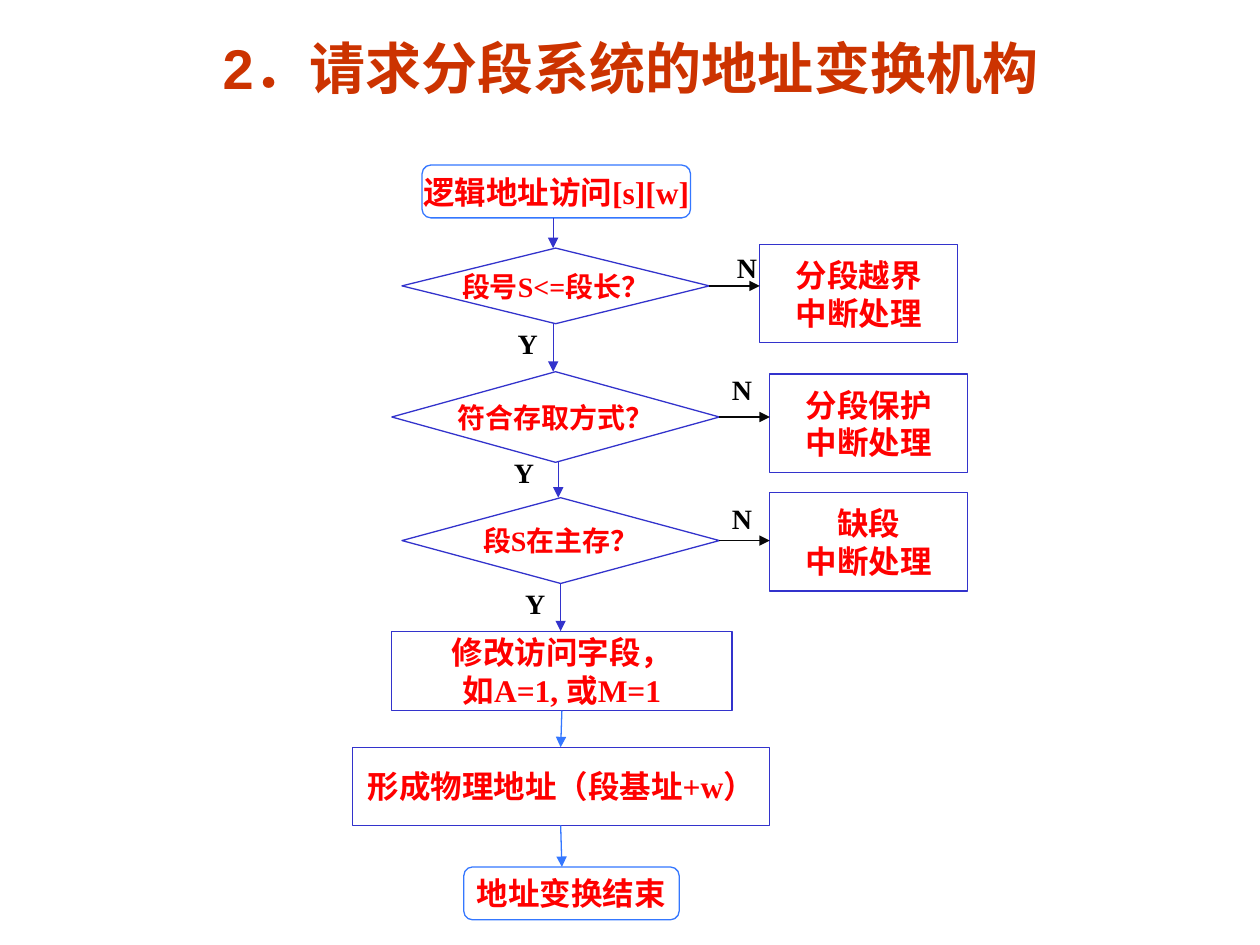
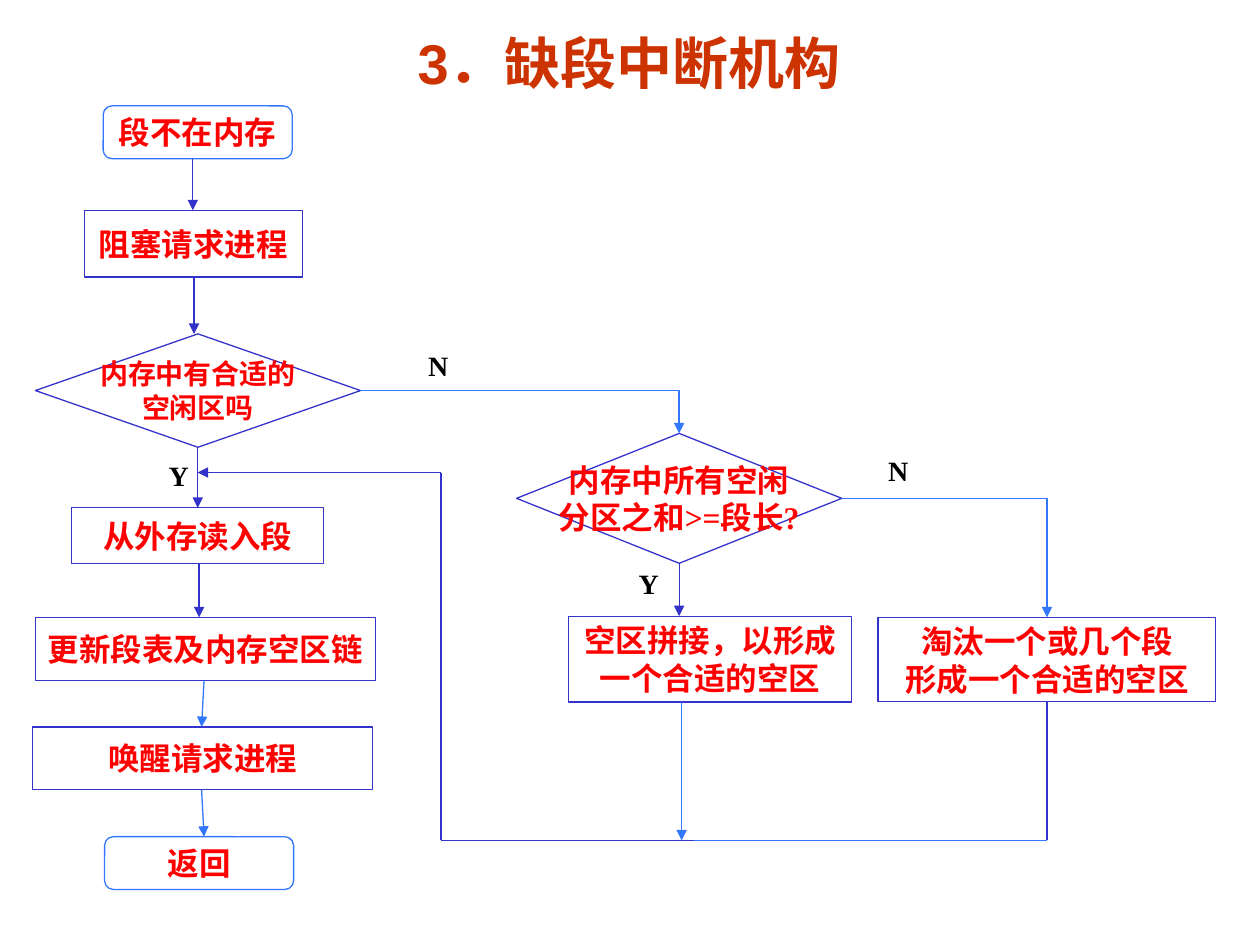
from lxml import etree
from pptx import Presentation
from pptx.dml.color import RGBColor
from pptx.enum.shapes import MSO_CONNECTOR, MSO_SHAPE
from pptx.enum.text import MSO_ANCHOR, PP_ALIGN
from pptx.oxml.ns import qn
from pptx.util import Emu, Pt

RECTANGLE = MSO_SHAPE.RECTANGLE
DIAMOND = MSO_SHAPE.DIAMOND
ROUNDED = MSO_SHAPE.ROUNDED_RECTANGLE
STRAIGHT = MSO_CONNECTOR.STRAIGHT
ELBOW = MSO_CONNECTOR.ELBOW
CENTER = PP_ALIGN.CENTER
LEFT = PP_ALIGN.LEFT
MIDDLE = MSO_ANCHOR.MIDDLE
TOP = MSO_ANCHOR.TOP

TITLE_RED = RGBColor(0xCC, 0x33, 0x00)
TEXT_RED = RGBColor(0xFF, 0x00, 0x00)
BLACK = RGBColor(0x00, 0x00, 0x00)
NEAR_BLACK = RGBColor(0x08, 0x08, 0x08)
INDIGO = RGBColor(0x33, 0x33, 0xCC)
BLUE = RGBColor(0x34, 0x77, 0xFF)

TITLE_FONT = "Arial"
BODY_FONT = "Times New Roman"
LINE_WIDTH = Pt(0.75)
TOP_SITE, RIGHT_SITE = 0, 3


# Text
def set_text(shape, text, size, color, font=BODY_FONT, align=CENTER,
             anchor=MIDDLE, wrap=False):
    frame = shape.text_frame
    frame.text = text
    frame.word_wrap = wrap
    frame.vertical_anchor = anchor
    for paragraph in frame.paragraphs:
        paragraph.alignment = align
        for run in paragraph.runs:
            run.font.name = font
            run.font.size = Pt(size)
            run.font.bold = True
            run.font.color.rgb = color


def add_title(slide, text, left, top, width, height):
    box = slide.shapes.add_textbox(Pt(left), Pt(top), Pt(width), Pt(height))
    set_text(box, text, 32, TITLE_RED, TITLE_FONT, wrap=True)


def add_label(slide, text, left, top, width=26):
    box = slide.shapes.add_textbox(Pt(left), Pt(top), Pt(width), Pt(26.6))
    set_text(box, text, 16, BLACK, align=LEFT, anchor=TOP)


# Flowchart nodes
def add_node(slide, kind, text, left, top, width, height, size=18):
    shape = slide.shapes.add_shape(kind, Pt(left), Pt(top), Pt(width), Pt(height))
    shape.shadow.inherit = False
    shape.fill.background()
    shape.line.color.rgb = BLUE if kind == ROUNDED else INDIGO
    shape.line.width = LINE_WIDTH
    set_text(shape, text, size, TEXT_RED)
    return shape


def bottom(shape):
    return Emu(shape.top + shape.height).pt


def right(shape):
    return Emu(shape.left + shape.width).pt


def middle(shape):
    return Emu(shape.top + shape.height // 2).pt


# Lines and arrows
def style_connector(connector, color, arrow):
    connector.line.color.rgb = color
    connector.line.width = LINE_WIDTH
    properties = connector._element.spPr
    if arrow:
        etree.SubElement(properties.find(qn("a:ln")), qn("a:tailEnd"), type="triangle")
    etree.SubElement(properties, qn("a:effectLst"))


def add_line(slide, start, end, color=INDIGO, arrow=True):
    points = [Pt(value) for value in (*start, *end)]
    connector = slide.shapes.add_connector(STRAIGHT, *points)
    style_connector(connector, color, arrow)


def add_down_arrow(slide, upper, lower, x, end_x=None, color=INDIGO):
    end = (x if end_x is None else end_x, lower.top.pt)
    add_line(slide, (x, bottom(upper)), end, color)


def add_elbow_arrow(slide, source, target):
    """Leave the source to the right and enter the target from above."""
    connector = slide.shapes.add_connector(ELBOW, 0, 0, 0, 0)
    connector.begin_connect(source, RIGHT_SITE)
    connector.end_connect(target, TOP_SITE)
    connector._element.spPr.find(qn("a:prstGeom")).set("prst", "bentConnector2")
    style_connector(connector, BLUE, True)


# Slide 1: address translation
def build_address_translation(slide):
    add_title(slide, "2．请求分段系统的地址变换机构", 42.5, 13.7, 635.8, 49.7)
    previous = add_node(slide, ROUNDED, "逻辑地址访问[s][w]", 241.2, 94.3, 153.4, 30.2)

    # Question, its frame, x of the incoming arrow, interrupt, its top, N and Y places
    checks = [
        ("段号S<=段长？", (229.7, 141.8, 175.7, 43.2), 316.1,
         "分段越界\n中断处理", 139.7, (414, 139.7), (288.7, 182.9)),
        ("符合存取方式？", (223.9, 212.4, 187.2, 51.8), 316.1,
         "分段保护\n中断处理", 213.8, (411.1, 209.5), (286.6, 257)),
        ("段S在主存？", (229.7, 284.4, 181.4, 49), 319,
         "缺段\n中断处理", 281.5, (411.1, 283), (293, 331.9)),
    ]
    for question, frame, arrow_x, interrupt, interrupt_top, no_at, yes_at in checks:
        check = add_node(slide, DIAMOND, question, *frame, size=16)
        add_down_arrow(slide, previous, check, arrow_x)
        interrupt_left = right(check) + 28.8
        add_node(slide, RECTANGLE, interrupt, interrupt_left, interrupt_top, 113, 56.2)
        add_line(slide, (right(check), middle(check)),
                 (interrupt_left, middle(check)), NEAR_BLACK)
        add_label(slide, "N", *no_at, width=23)
        add_label(slide, "Y", *yes_at)
        previous = check

    update = add_node(slide, RECTANGLE, "修改访问字段，\n如A=1, 或M=1",
                      223.9, 360.7, 194.4, 45.4)
    address = add_node(slide, RECTANGLE, "形成物理地址（段基址+w）",
                       201.6, 427, 238.3, 44.6)
    finish = add_node(slide, ROUNDED, "地址变换结束", 265, 495.4, 123.1, 30.2)
    add_down_arrow(slide, previous, update, 320.4)
    add_down_arrow(slide, update, address, 321.1, 320.4, BLUE)
    add_down_arrow(slide, address, finish, 320.4, 321.1, BLUE)


# Slide 2: missing-segment interrupt
def build_missing_segment(slide):
    add_title(slide, "3．缺段中断机构", 41.8, 5.8, 635.8, 59)

    # Main column
    start = add_node(slide, ROUNDED, "段不在内存", 59, 60.5, 108, 30.2)
    block = add_node(slide, RECTANGLE, "阻塞请求进程", 48.2, 120.2, 124.6, 38.2)
    has_space = add_node(slide, DIAMOND, "内存中有合适的\n空闲区吗",
                         20.2, 190.8, 185.8, 64.8, size=16)
    read = add_node(slide, RECTANGLE, "从外存读入段", 41, 290.2, 144, 31.7)
    update = add_node(slide, RECTANGLE, "更新段表及内存空区链", 20.2, 352.8, 194.4, 36)
    wake = add_node(slide, RECTANGLE, "唤醒请求进程", 18.7, 415.4, 194.4, 36)
    finish = add_node(slide, ROUNDED, "返回", 59.8, 478.1, 108, 30.2)
    add_down_arrow(slide, start, block, 110.2)
    add_down_arrow(slide, block, has_space, 110.9)
    add_down_arrow(slide, has_space, read, 113)
    add_down_arrow(slide, read, update, 113.8)
    add_down_arrow(slide, update, wake, 116.6, 115.2, BLUE)
    add_down_arrow(slide, wake, finish, 115.2, 116.6, BLUE)

    # Branches without a suitable free area
    enough_total = add_node(slide, DIAMOND, "内存中所有空闲\n分区之和>=段长?",
                            295.2, 247.7, 185.8, 74.2)
    merge = add_node(slide, RECTANGLE, "空区拼接，以形成\n一个合适的空区",
                     324.7, 352.1, 162, 49)
    evict = add_node(slide, RECTANGLE, "淘汰一个或几个段\n形成一个合适的空区",
                     501.8, 352.8, 193, 48.2)
    add_elbow_arrow(slide, has_space, enough_total)
    add_elbow_arrow(slide, enough_total, evict)
    add_down_arrow(slide, enough_total, merge, 388.1)

    # Return path to reading the segment
    return_y, return_x, join_x, evict_x = 480.2, 252, 396.7, 598.3
    add_line(slide, (389.5, bottom(merge)), (389.5, return_y), BLUE)
    add_line(slide, (evict_x, return_y), (evict_x, bottom(evict)), arrow=False)
    add_line(slide, (join_x, return_y), (evict_x, return_y), BLUE, arrow=False)
    add_line(slide, (join_x, return_y), (return_x, return_y), arrow=False)
    add_line(slide, (return_x, return_y), (return_x, 270), arrow=False)
    add_line(slide, (return_x, 270), (113, 270))

    for text, left, top in [("Y", 89.3, 258.5), ("N", 237.6, 195.8),
                            ("Y", 357.8, 320.4), ("N", 500.4, 255.6)]:
        add_label(slide, text, left, top)


def main():
    presentation = Presentation()
    presentation.slide_width = Pt(720)
    presentation.slide_height = Pt(540)
    blank = presentation.slide_layouts[6]
    for build in (build_address_translation, build_missing_segment):
        build(presentation.slides.add_slide(blank))
    presentation.save("out.pptx")


if __name__ == "__main__":
    main()
